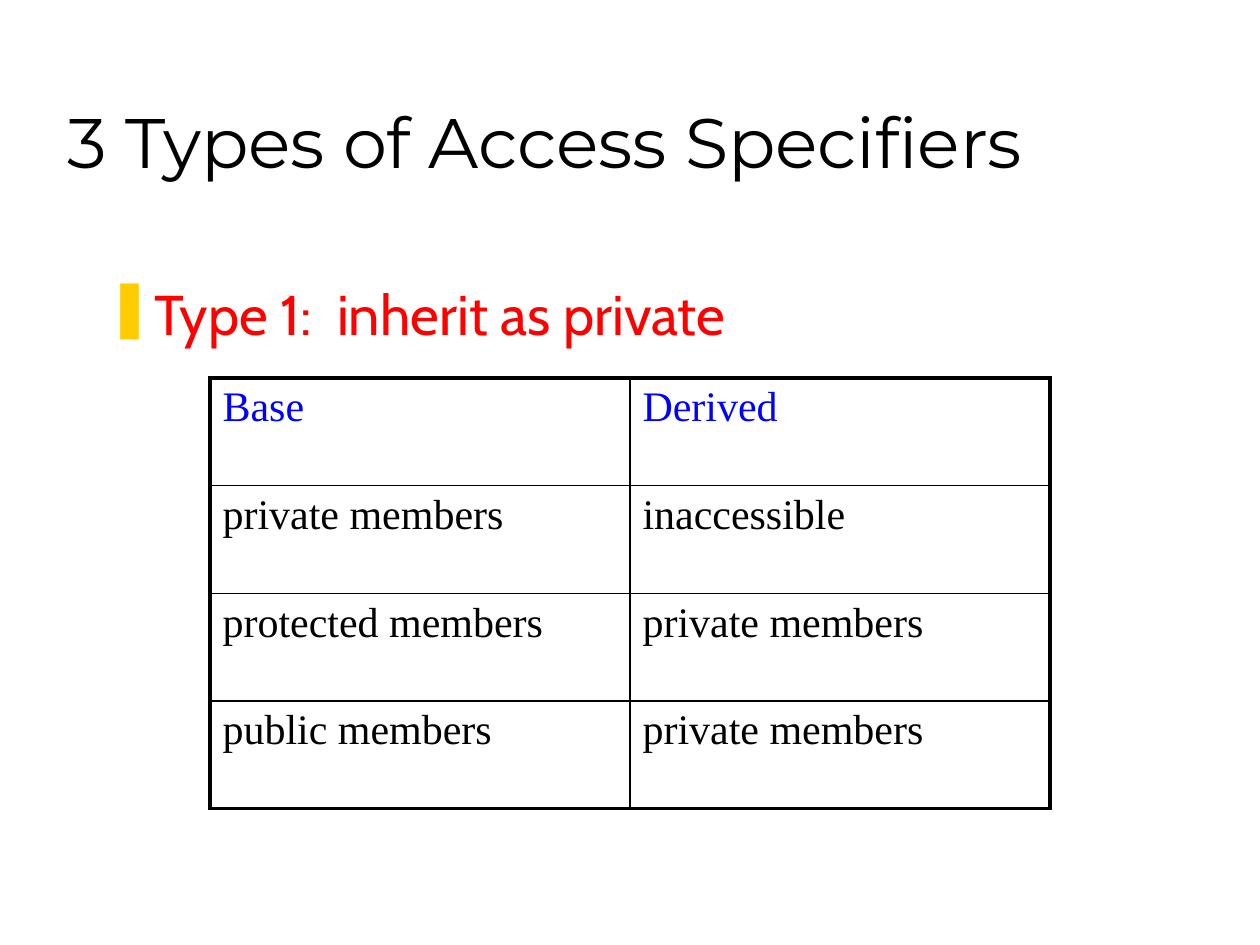
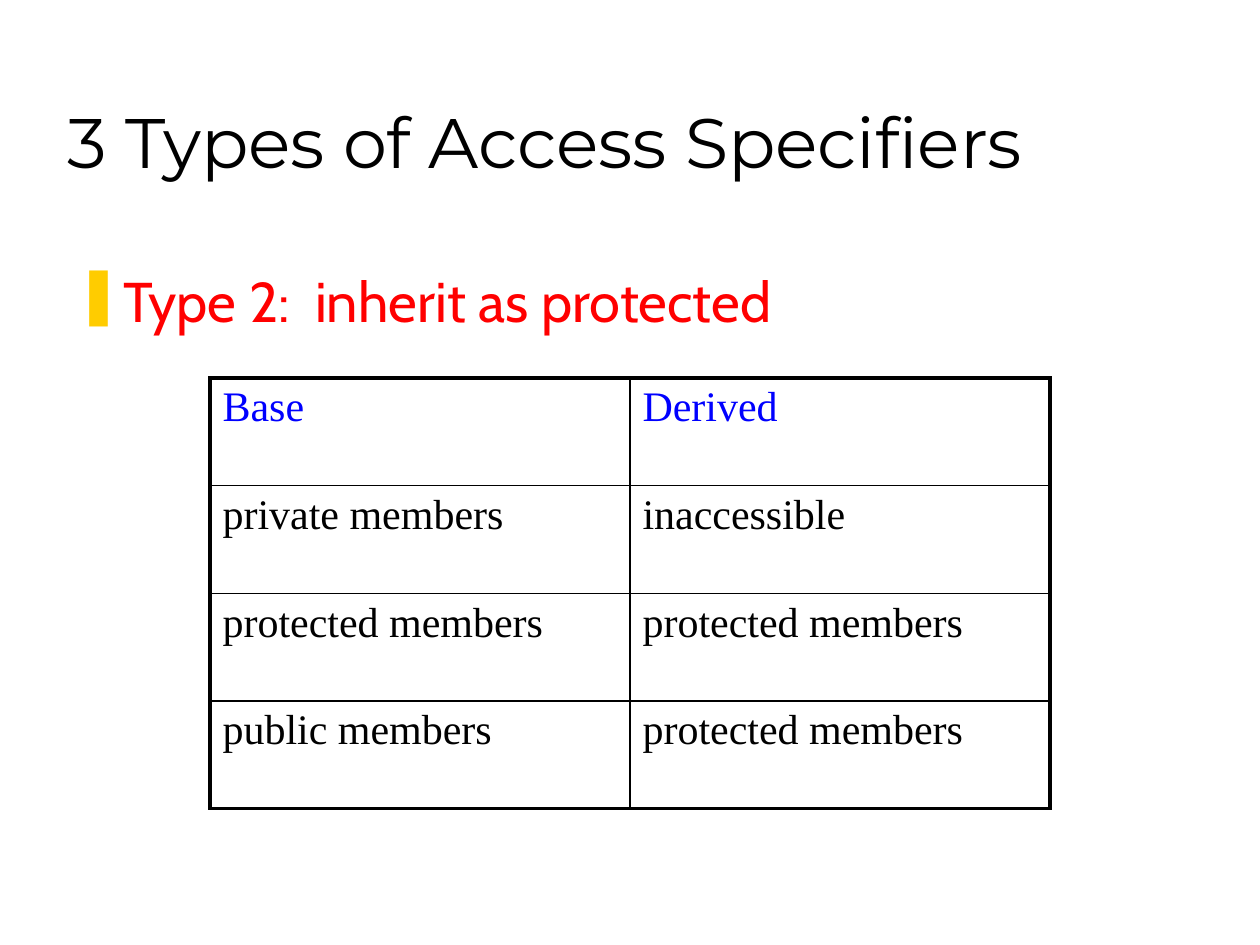
from lxml import etree
from pptx import Presentation
from pptx.dml.color import RGBColor
from pptx.enum.text import MSO_ANCHOR
from pptx.oxml.ns import qn
from pptx.util import Inches, Pt

BOTTOM, TOP = MSO_ANCHOR.BOTTOM, MSO_ANCHOR.TOP
BLACK = RGBColor(0, 0, 0)
RED = RGBColor(255, 0, 0)
BLUE = RGBColor(0, 0, 255)
GOLD = RGBColor(255, 204, 0)

WIDE, HIGH = Inches(10), Inches(7.5)
TITLE = "3 Types of Access Specifiers"
TITLE_BOX = (0.044, 1 / 30, 0.91, 1 / 6)
GRID_BOX = (1 / 6, 0.4, 2 / 3, 0.456)
THICK, THIN = Pt(2.25), Pt(1)
INDENT = Inches(0.38)
BASES = ["private members", "protected members", "public members"]

# Each slide: heading, heading box as shares of the slide, derived column
SLIDES = [
    ("Type 1:  inherit as private", (0.075, 0.289, 0.883, 0.6),
     ["inaccessible", "private members", "private members"]),
    ("Type 2:  inherit as protected", (0.05, 0.275, 0.894, 0.608),
     ["inaccessible", "protected members", "protected members"]),
]


def place(box):
    """Turn shares of the slide into lengths."""
    x, y, w, h = box
    return int(x * WIDE), int(y * HIGH), int(w * WIDE), int(h * HIGH)


def write(frame, text, font, size, color, anchor=TOP):
    frame.word_wrap = True
    frame.vertical_anchor = anchor
    para = frame.paragraphs[0]
    run = para.add_run()
    run.text = text
    run.font.name = font
    run.font.size = Pt(size)
    run.font.color.rgb = color
    return para


def add_text(slide, box, text, **style):
    return write(slide.shapes.add_textbox(*place(box)).text_frame, text, **style)


def add_bullet(para, mark, color):
    props = para._p.get_or_add_pPr()
    props.set("marL", str(INDENT))
    props.set("indent", str(-INDENT))
    tint = etree.SubElement(props, qn("a:buClr"))
    etree.SubElement(tint, qn("a:srgbClr"), val=str(color))
    etree.SubElement(props, qn("a:buChar"), char=mark)


def add_edges(cell, widths):
    """Draw the cell's borders, given by side in schema order."""
    props = cell._tc.get_or_add_tcPr()
    for spot, (side, width) in enumerate(widths.items()):
        line = etree.Element(qn(f"a:ln{side}"), w=str(width))
        fill = etree.SubElement(line, qn("a:solidFill"))
        etree.SubElement(fill, qn("a:srgbClr"), val=str(BLACK))
        props.insert(spot, line)


def add_grid(slide, box, rows):
    x, y, w, h = place(box)
    high, wide = len(rows), len(rows[0])
    table = slide.shapes.add_table(high, wide, x, y, w, h).table
    table.first_row = table.horz_banding = False
    for r, row in enumerate(rows):
        for c, text in enumerate(row):
            cell = table.cell(r, c)
            cell.fill.background()
            write(cell.text_frame, text, font="Times New Roman", size=24,
                  color=BLACK if r else BLUE)
            outer = {"L": c == 0, "R": c == wide - 1,
                     "T": r == 0, "B": r == high - 1}
            add_edges(cell, {side: THICK if edge else THIN
                             for side, edge in outer.items()})


def add_type(deck, head, box, derived):
    """Add one slide on a type of inheritance."""
    slide = deck.slides.add_slide(deck.slide_layouts[6])
    add_text(slide, TITLE_BOX, TITLE, font="Montserrat", size=40,
             color=BLACK, anchor=BOTTOM)
    para = add_text(slide, box, head, font="Cabin", size=32, color=RED)
    para.space_before = Pt(6.4)
    add_bullet(para, "❚", GOLD)
    add_grid(slide, GRID_BOX, [("Base", "Derived"), *zip(BASES, derived)])


def main():
    deck = Presentation()
    deck.slide_width, deck.slide_height = WIDE, HIGH
    for head, box, derived in SLIDES:
        add_type(deck, head, box, derived)
    deck.save("out.pptx")


if __name__ == "__main__":
    main()
